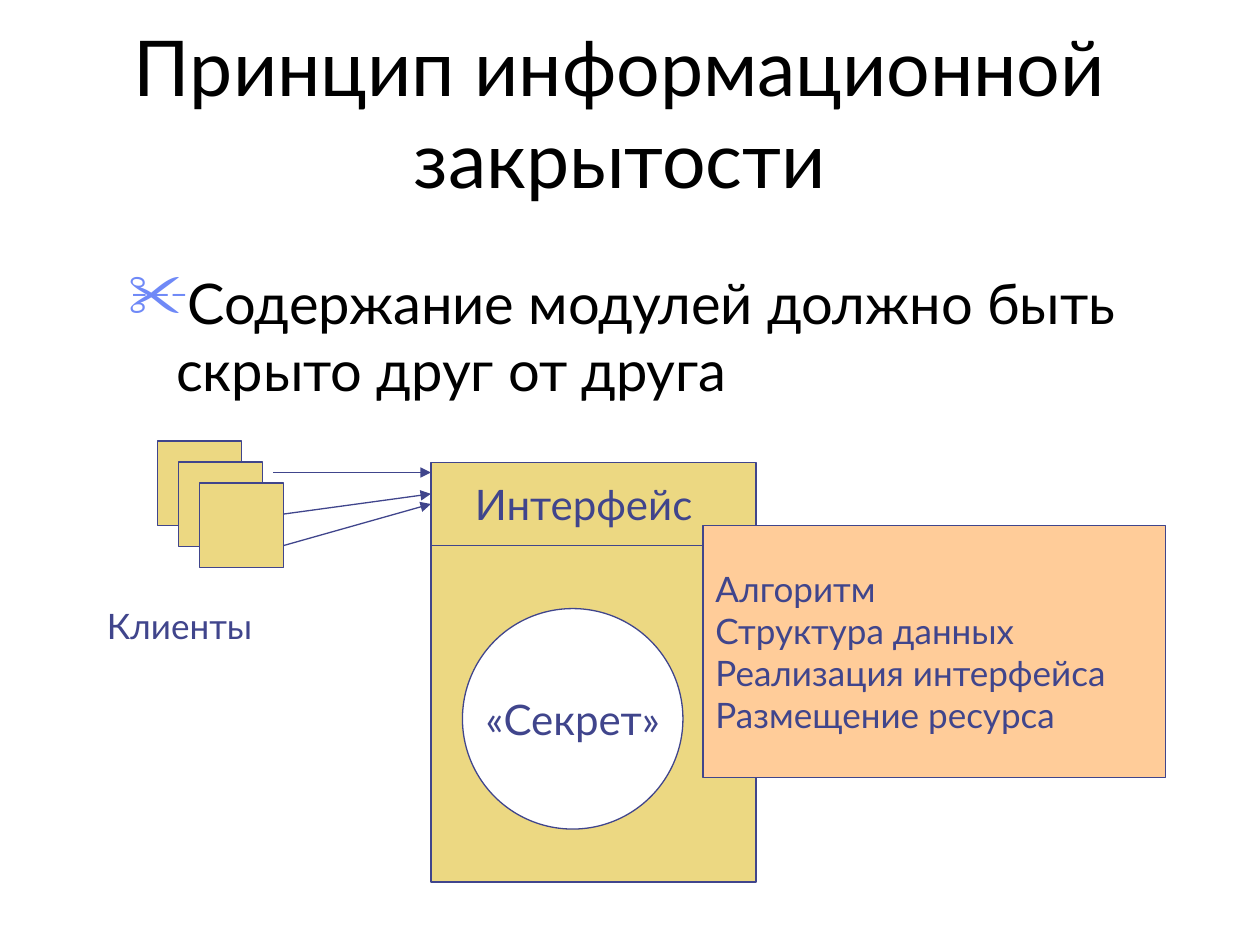
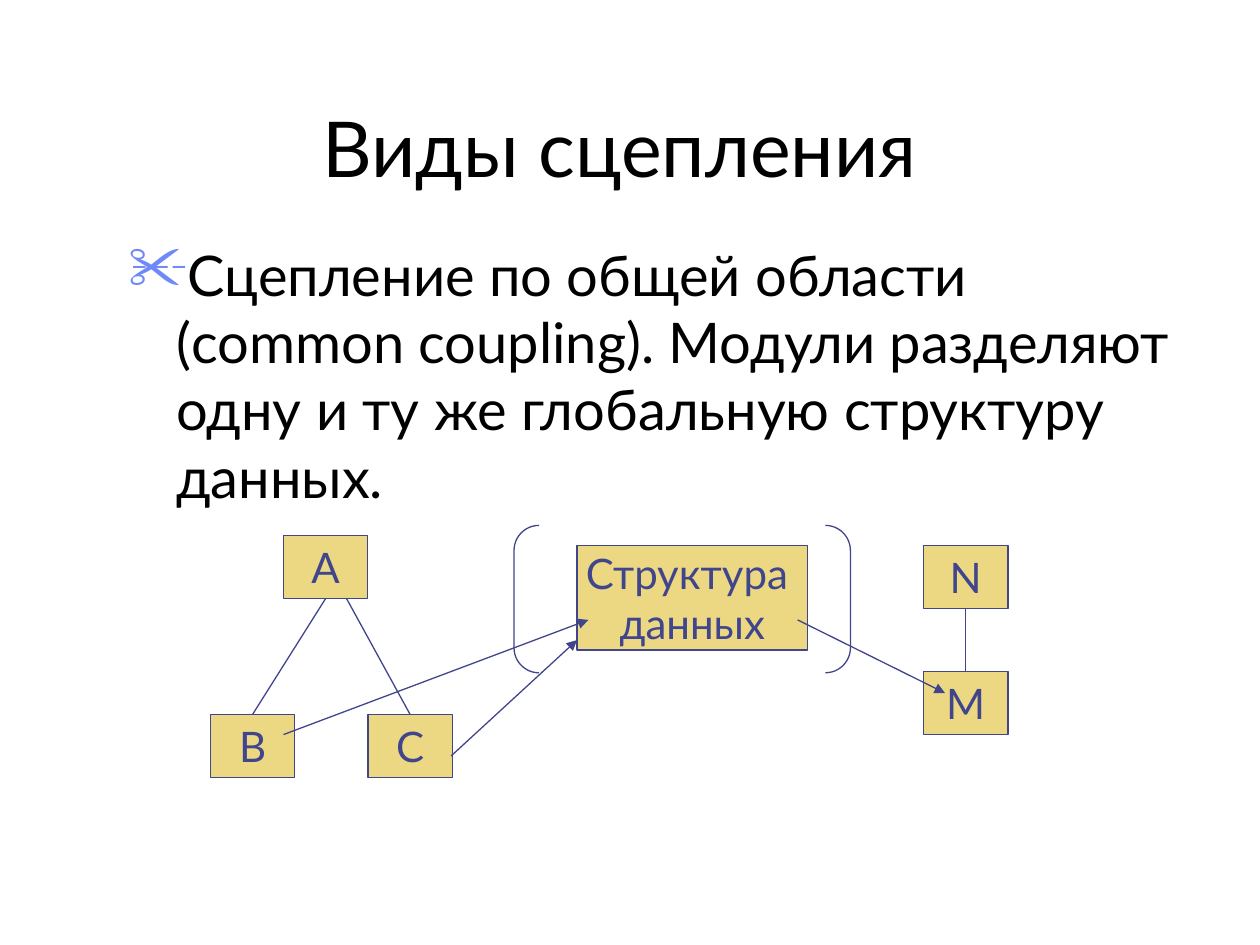
from dataclasses import dataclass
from typing import Optional

import pptx
import pptx.util
import pptx.dml.color
import pptx.enum.shapes
import pptx.enum.text
import pptx.oxml.ns
from lxml import etree

Inches, Pt = pptx.util.Inches, pptx.util.Pt
RGBColor = pptx.dml.color.RGBColor
Shape = pptx.enum.shapes.MSO_SHAPE
Align = pptx.enum.text.PP_ALIGN
Anchor = pptx.enum.text.MSO_ANCHOR
qn = pptx.oxml.ns.qn

# Shared style
FONT = "Lato"
BLACK = RGBColor(0x00, 0x00, 0x00)
WHITE = RGBColor(0xFF, 0xFF, 0xFF)
INDIGO = RGBColor(0x40, 0x45, 0x8C)
SAND = RGBColor(0xEC, 0xD8, 0x82)
PEACH = RGBColor(0xFF, 0xCC, 0x99)
BULLET_BLUE = RGBColor(0x6F, 0x89, 0xF7)
LINE_WIDTH = Pt(0.75)
TITLE_ONLY = 5


@dataclass
class Block:
    left: float
    top: float
    width: float
    height: float
    text: str = ""
    fill: Optional[RGBColor] = SAND
    kind: Shape = Shape.RECTANGLE
    size: int = 24
    align: Align = Align.CENTER


@dataclass
class Link:
    start: tuple[float, float]
    end: tuple[float, float]
    arrow: bool = True


def write_text(frame, text: str, size: int, color: RGBColor, align: Align) -> None:
    """Fill a text frame, one paragraph for each line."""
    for index, line in enumerate(text.split("\n")):
        paragraph = frame.paragraphs[0] if index == 0 else frame.add_paragraph()
        paragraph.text = line
        paragraph.alignment = align
        paragraph.font.name = FONT
        paragraph.font.size = Pt(size)
        paragraph.font.color.rgb = color


def add_titled_slide(presentation, title: str, top: float, height: float):
    slide = presentation.slides.add_slide(presentation.slide_layouts[TITLE_ONLY])
    shape = slide.shapes.title
    shape.left, shape.top = Inches(0.67), Inches(top)
    shape.width, shape.height = Inches(8.5), Inches(height)
    frame = shape.text_frame
    frame.auto_size = pptx.enum.text.MSO_AUTO_SIZE.NONE
    frame.vertical_anchor = Anchor.BOTTOM
    write_text(frame, title, 44, BLACK, Align.CENTER)
    return slide


def add_text_box(slide, left: float, top: float, width: float, height: float):
    box = slide.shapes.add_textbox(Inches(left), Inches(top), Inches(width), Inches(height))
    box.text_frame.word_wrap = True
    return box.text_frame


def add_label(slide, left: float, top: float, width: float, height: float,
              text: str, size: int) -> None:
    write_text(add_text_box(slide, left, top, width, height), text, size, INDIGO, Align.LEFT)


def add_bullet(slide, top: float, height: float, text: str) -> None:
    """Add the main statement with a scissors bullet and a hanging indent."""
    frame = add_text_box(slide, 0.92, top, 8.5, height)
    properties = frame.paragraphs[0]._p.get_or_add_pPr()
    properties.set("marL", str(Inches(0.38)))
    properties.set("indent", str(-Inches(0.38)))
    color = etree.SubElement(properties, qn("a:buClr"))
    etree.SubElement(color, qn("a:srgbClr")).set("val", str(BULLET_BLUE))
    etree.SubElement(properties, qn("a:buSzPct")).set("val", "110000")
    etree.SubElement(properties, qn("a:buChar")).set("char", "✂")
    write_text(frame, text, 32, BLACK, Align.LEFT)


def add_block(slide, block: Block):
    shape = slide.shapes.add_shape(block.kind, Inches(block.left), Inches(block.top),
                                   Inches(block.width), Inches(block.height))
    shape.shadow.inherit = False
    if block.fill is None:
        shape.fill.background()
    else:
        shape.fill.solid()
        shape.fill.fore_color.rgb = block.fill
    shape.line.color.rgb = INDIGO
    shape.line.width = LINE_WIDTH
    if block.text:
        shape.text_frame.word_wrap = False
        shape.text_frame.vertical_anchor = Anchor.MIDDLE
        write_text(shape.text_frame, block.text, block.size, INDIGO, block.align)
    return shape


def add_link(slide, link: Link):
    connector = slide.shapes.add_connector(
        pptx.enum.shapes.MSO_CONNECTOR.STRAIGHT,
        *(Inches(value) for value in link.start + link.end))
    connector.line.color.rgb = INDIGO
    connector.line.width = LINE_WIDTH
    if link.arrow:
        line = connector.line._get_or_add_ln()
        etree.SubElement(line, qn("a:tailEnd")).set("type", "triangle")
    etree.SubElement(connector._element.spPr, qn("a:effectLst"))
    return connector


def build_hiding_slide(presentation) -> None:
    slide = add_titled_slide(presentation, "Принцип информационной закрытости", 1.25, 0.42)
    add_bullet(slide, 2.08, 4.5, "Содержание модулей должно быть скрыто друг от друга")

    # Stack of clients
    for index in range(3):
        offset = index / 6
        add_block(slide, Block(1.25 + offset, 3.5 + offset, 0.67, 0.67))
    add_label(slide, 0.75, 4.75, 1.42, 0.44, "Клиенты", 20)

    # Module with its interface and secret
    add_block(slide, Block(3.42, 3.67, 2.58, 3.33))
    add_link(slide, Link((3.42, 4.33), (6.08, 4.33), arrow=False))
    add_label(slide, 3.67, 3.75, 2.08, 0.5, "Интерфейс", 24)
    add_block(slide, Block(3.67, 4.83, 1.75, 1.75, "«Секрет»", WHITE, Shape.OVAL))
    secrets = "Алгоритм\nСтруктура данных\nРеализация интерфейса\nРазмещение ресурса"
    add_block(slide, Block(5.58, 4.17, 3.67, 2, secrets, PEACH, size=20, align=Align.LEFT))

    # Calls from clients to the interface
    for link in (Link((2.25, 4.33), (3.42, 4)),
                 Link((2.17, 3.75), (3.42, 3.75)),
                 Link((2.25, 4.08), (3.42, 3.92))):
        add_link(slide, link)


def build_coupling_slide(presentation) -> None:
    slide = add_titled_slide(presentation, "Виды сцепления", 0.33, 1.25)
    add_bullet(slide, 1.86, 4.72,
               "Сцепление по общей области (common coupling). "
               "Модули разделяют одну и ту же глобальную структуру данных.")

    # Modules
    places = {"В": (1.67, 5.67), "С": (2.92, 5.67), "А": (2.25, 4.25),
              "N": (7.33, 4.33), "M": (7.33, 5.33)}
    modules = {name: add_block(slide, Block(left, top, 0.67, 0.5, name))
               for name, (left, top) in places.items()}

    # Shared data in brackets
    brackets = add_block(slide, Block(4.08, 4.17, 2.67, 1.17, fill=None,
                                      kind=Shape.DOUBLE_BRACKET))
    brackets.adjustments[0] = 0.17
    add_block(slide, Block(4.58, 4.33, 1.83, 0.83, "Структура \nданных"))

    # Data access
    for link in (Link((2.25, 5.83), (4.67, 4.92)),
                 Link((3.58, 6), (4.58, 5.08)),
                 Link((6.33, 4.92), (7.5, 5.5))):
        add_link(slide, link)

    # Module hierarchy
    for parent, child in (("А", "В"), ("N", "M")):
        connector = add_link(slide, Link(places[parent], places[child], arrow=False))
        connector.begin_connect(modules[parent], 2)
        connector.end_connect(modules[child], 0)
    connector = add_link(slide, Link((2.75, 4.75), (3.25, 5.67), arrow=False))
    connector.end_connect(modules["С"], 0)


def main() -> None:
    presentation = pptx.Presentation()
    presentation.slide_width, presentation.slide_height = Inches(10), Inches(7.5)
    build_hiding_slide(presentation)
    build_coupling_slide(presentation)
    presentation.save("out.pptx")


if __name__ == "__main__":
    main()
